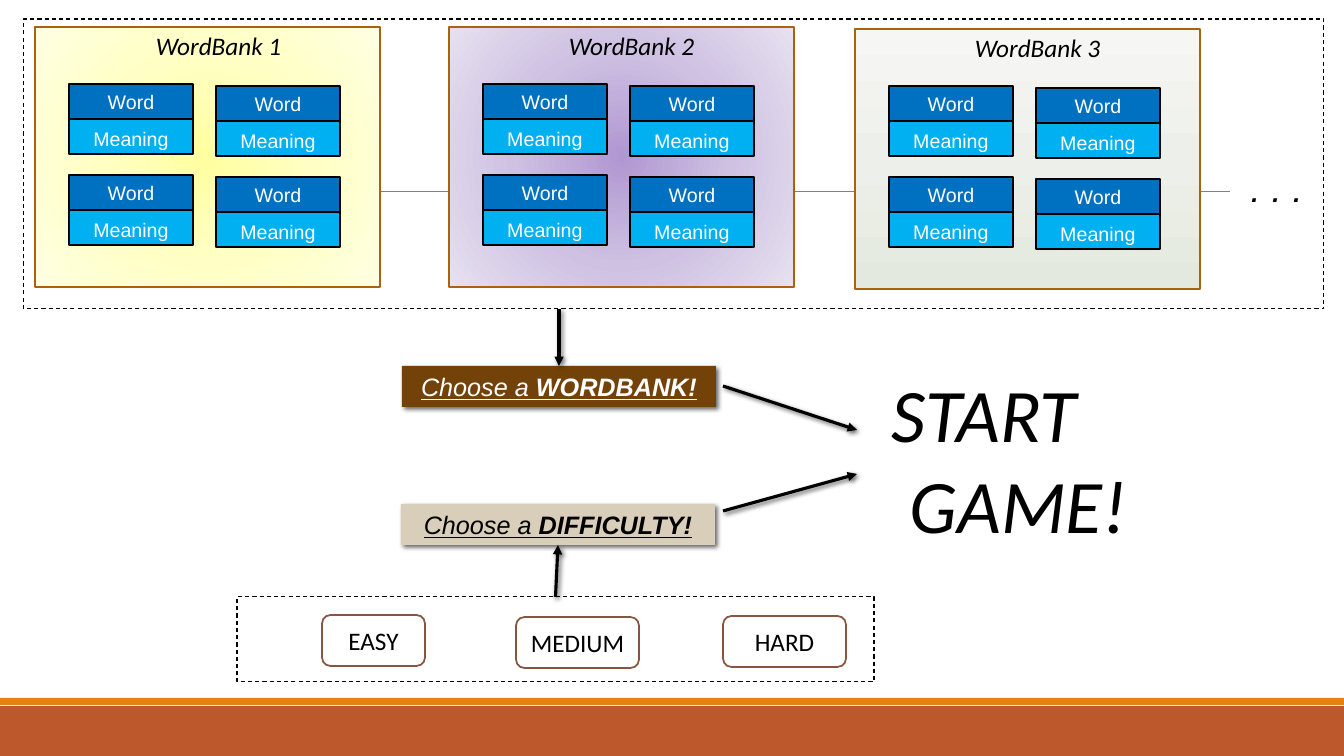
"""Builds the word bank game flow slide."""
from lxml import etree
from pptx import Presentation
from pptx import util as u
from pptx.dml.color import RGBColor
from pptx.enum import dml, shapes, text
from pptx.oxml import parse_xml
from pptx.oxml.ns import nsdecls, qn

PX = 9071
BLACK = RGBColor(0x00, 0x00, 0x00)
WHITE = RGBColor(0xFF, 0xFF, 0xFF)
GRAY = RGBColor(0x80, 0x80, 0x80)
RUST = RGBColor(0xBD, 0x58, 0x2C)
ORANGE = RGBColor(0xE4, 0x83, 0x12)
BANK_EDGE = RGBColor(0xAB, 0x62, 0x0D)
WORD_BLUE = RGBColor(0x00, 0x70, 0xC0)
MEANING_BLUE = RGBColor(0x00, 0xB0, 0xF0)
BROWN = RGBColor(0x72, 0x42, 0x09)
SAND = RGBColor(0xD8, 0xCE, 0xBA)
LEVEL_EDGE = RGBColor(0x86, 0x56, 0x40)
SHADOW = (f'<a:outerShdw {nsdecls("a")} blurRad="44450" dist="25400" dir="2700000">'
          '<a:srgbClr val="000000"><a:alpha val="60000"/></a:srgbClr></a:outerShdw>')
CENTER_GLOW = ('<a:path path="circle"><a:fillToRect l="50000" t="50000" '
               'r="50000" b="50000"/></a:path>')
UPWARD = '<a:lin ang="16200000" scaled="0"/>'

presentation = Presentation()
presentation.slide_width = 1344 * PX
presentation.slide_height = 756 * PX
slide = presentation.slides.add_slide(presentation.slide_layouts[6])


def add_box(bounds, fill=None, edge=None, width=1.25, kind=shapes.MSO_SHAPE.RECTANGLE):
    shape = slide.shapes.add_shape(kind, *(value * PX for value in bounds))
    shape.shadow.inherit = False
    if fill is None:
        shape.fill.background()
    else:
        shape.fill.solid()
        shape.fill.fore_color.rgb = fill
    if edge is None:
        shape.line.fill.background()
    else:
        shape.line.color.rgb = edge
        shape.line.width = u.Pt(width)
    return shape


def add_run(paragraph, words, size, font_name, color, **styles):
    run = paragraph.add_run()
    run.text = words
    run.font.size = u.Pt(size)
    run.font.name = font_name
    run.font.color.rgb = color
    for style, value in styles.items():
        setattr(run.font, style, value)
    return run


add_box((0, 706, 1344, 50), RUST)
add_box((0, 698, 1344, 7), ORANGE)
timeline = slide.shapes.add_connector(
    shapes.MSO_CONNECTOR.STRAIGHT, 132 * PX, 191 * PX, 1230 * PX, 191 * PX)
timeline.line.color.rgb = GRAY
timeline.line.width = u.Pt(0.5)
etree.SubElement(timeline._element.spPr, qn("a:effectLst"))

dashed_frames = []
for bounds in ((237, 597, 637, 85), (24, 19, 1300, 290)):
    frame = add_box(bounds, edge=BLACK, width=0.75)
    frame.line.dash_style = dml.MSO_LINE.DASH
    dashed_frames.append(frame)
level_frame, bank_frame = dashed_frames

banks = (
    ("WordBank 1", 35, 27, ("FFFFA0", "FFFFC5", "FFFFE3"), CENTER_GLOW, 146),
    ("WordBank 2", 449, 27, ("B197D2", "CEC1E2", "E7E1F0"), CENTER_GLOW, 559),
    ("WordBank 3", 855, 29, ("E4E9DF", "EDF0EA", "F6F7F4"), UPWARD, 965),
)
for title, left, top, stops, direction, title_left in banks:
    bank = add_box((left, top, 345, 260), WHITE, BANK_EDGE)
    stop_list = "".join(
        f'<a:gs pos="{index * 50000}"><a:srgbClr val="{stop}"/></a:gs>'
        for index, stop in enumerate(stops))
    properties = bank._element.spPr
    properties.replace(properties.find(qn("a:solidFill")), parse_xml(
        f'<a:gradFill {nsdecls("a")} rotWithShape="1"><a:gsLst>{stop_list}</a:gsLst>'
        f'{direction}</a:gradFill>'))

    for row in range(2):
        for column in range(2):
            for part, (label, fill) in enumerate(
                    (("Word", WORD_BLUE), ("Meaning", MEANING_BLUE))):
                card = add_box((left + 34 + 147 * column,
                                top + 57 + 91 * row + 2 * column + 35 * part,
                                124, 35), fill, BLACK)
                frame = card.text_frame
                frame.margin_top = (5 + 4 * part) * PX
                paragraph = frame.paragraphs[0]
                paragraph.alignment = text.PP_ALIGN.CENTER
                add_run(paragraph, label, 14, "Arial", WHITE)

    title_box = slide.shapes.add_textbox(title_left * PX, (top - 2) * PX, 170 * PX, 40 * PX)
    title_box.text_frame.word_wrap = True
    add_run(title_box.text_frame.paragraphs[0], title, 18, "Calibri", BLACK, italic=True)

choices = []
for target, left, top, fill, color in (("WORDBANK!", 402, 366, BROWN, WHITE),
                                       ("DIFFICULTY!", 401, 504, SAND, BLACK)):
    choice = add_box((left, top, 314, 41), fill)
    choice._element.spPr.find(qn("a:effectLst")).append(parse_xml(SHADOW))
    paragraph = choice.text_frame.paragraphs[0]
    paragraph.alignment = text.PP_ALIGN.CENTER
    add_run(paragraph, "Choose a ", 18, "Arial", color, italic=True, underline=True)
    add_run(paragraph, target, 18, "Arial", color, italic=True, underline=True, bold=True)
    choices.append(choice)
wordbank_choice, difficulty_choice = choices

for level, left, top, width in (("EASY", 322, 615, 103), ("MEDIUM", 516, 617, 123),
                                ("HARD", 723, 616, 123)):
    button = add_box((left, top, width, 51), WHITE, LEVEL_EDGE,
                     kind=shapes.MSO_SHAPE.ROUNDED_RECTANGLE)
    button.text_frame.vertical_anchor = text.MSO_ANCHOR.MIDDLE
    paragraph = button.text_frame.paragraphs[0]
    paragraph.alignment = text.PP_ALIGN.CENTER
    add_run(paragraph, level, 18, "Calibri", BLACK)

arrows = []
for ends in ((559, 309, 559, 366), (556, 597, 558, 545),
             (723, 386, 857, 430), (723, 511, 857, 474)):
    arrow = slide.shapes.add_connector(
        shapes.MSO_CONNECTOR.STRAIGHT, *(value * PX for value in ends))
    arrow.line.color.rgb = BLACK
    arrow.line.width = u.Pt(2.25)
    etree.SubElement(arrow.line._get_or_add_ln(), qn("a:tailEnd"), type="triangle")
    effects = etree.SubElement(arrow._element.spPr, qn("a:effectLst"))
    effects.append(parse_xml(SHADOW))
    arrows.append(arrow)
arrows[0].end_connect(wordbank_choice, 0)
arrows[1].begin_connect(level_frame, 0)
arrows[1].end_connect(difficulty_choice, 2)

more_box = slide.shapes.add_textbox(1210 * PX, 172 * PX, 132 * PX, 40 * PX)
more_box.text_frame.word_wrap = True
paragraph = more_box.text_frame.paragraphs[0]
paragraph.alignment = text.PP_ALIGN.CENTER
dots = add_run(paragraph, ". . .", 18, "Arial", BLACK, bold=True, italic=True)
dot_properties = dots._r.get_or_add_rPr()
dot_properties.set("spc", "250")
effects = etree.Element(qn("a:effectLst"))
effects.append(parse_xml(SHADOW))
dot_properties.find(qn("a:solidFill")).addnext(effects)

start_box = slide.shapes.add_textbox(882 * PX, 362 * PX, 290 * PX, 194 * PX)
start_frame = start_box.text_frame
start_frame.word_wrap = True
add_run(start_frame.paragraphs[0], "START", 54, "Calibri", BLACK, italic=True)
game_line = start_frame.add_paragraph()
game_line._p.get_or_add_pPr().set("marL", str(18 * PX))
add_run(game_line, "GAME!", 54, "Calibri", BLACK, italic=True)

presentation.save("out.pptx")
